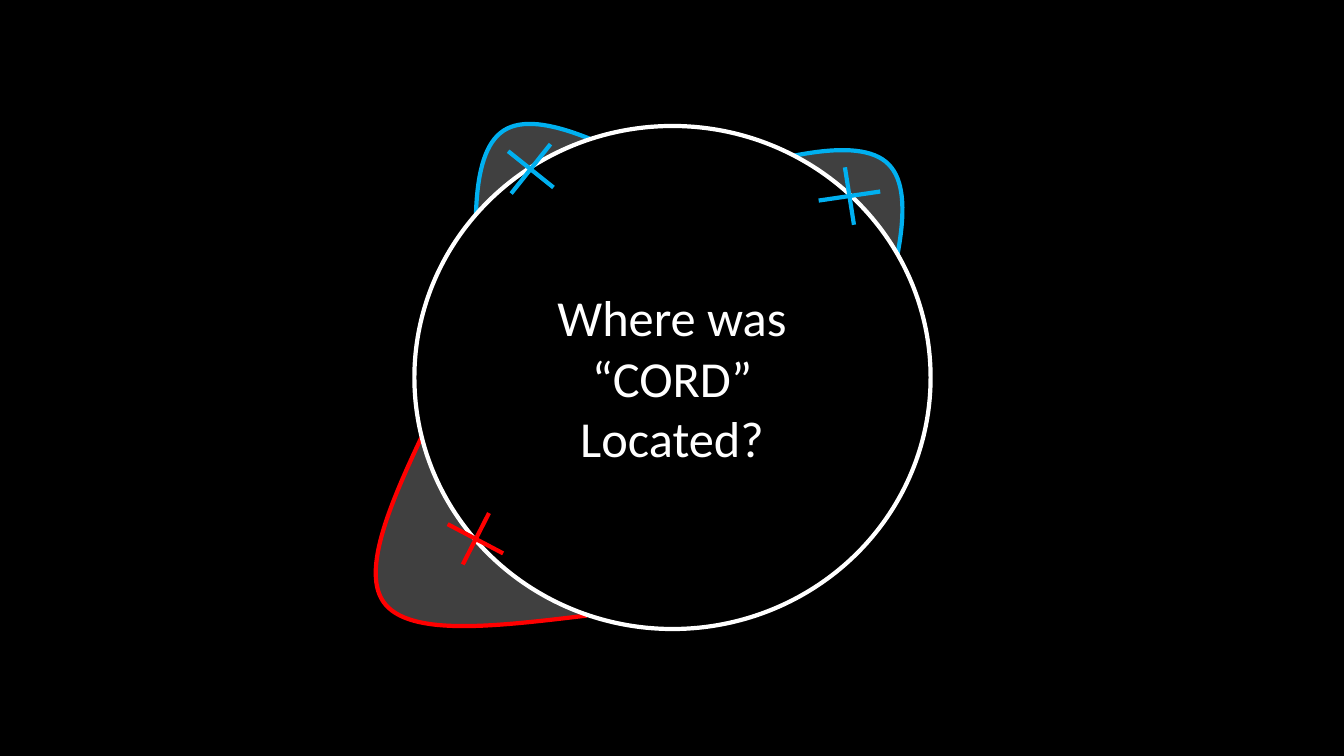
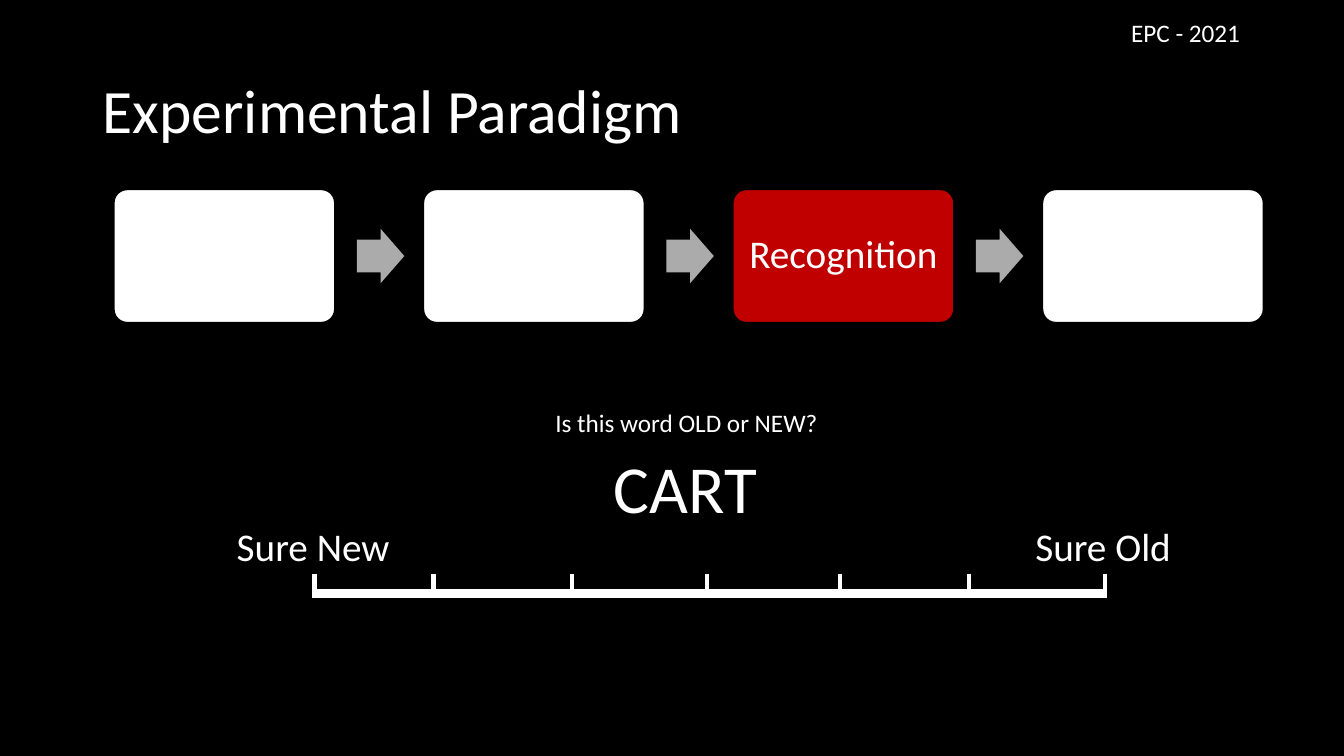
import dataclasses
import typing

import lxml.etree
import pptx
import pptx.dml.color
import pptx.enum.shapes
import pptx.enum.text
import pptx.oxml.ns
import pptx.presentation
import pptx.shapes.autoshape
import pptx.shapes.shapetree
import pptx.slide
import pptx.text.text
import pptx.util

Inches = pptx.util.Inches
Pt = pptx.util.Pt
RGB = pptx.dml.color.RGBColor
Align = pptx.enum.text.PP_ALIGN
Anchor = pptx.enum.text.MSO_ANCHOR
Fit = pptx.enum.text.MSO_AUTO_SIZE
Kind = pptx.enum.shapes.MSO_SHAPE
Slide = pptx.slide.Slide
Shape = pptx.shapes.autoshape.Shape
Tree = pptx.shapes.shapetree.GroupShapes
Point = tuple[float, float]
qn = pptx.oxml.ns.qn


@dataclasses.dataclass(frozen=True)
class Theme:
    black: RGB = RGB(0x00, 0x00, 0x00)
    white: RGB = RGB(0xFF, 0xFF, 0xFF)
    blue: RGB = RGB(0x00, 0xB0, 0xF0)
    red: RGB = RGB(0xFF, 0x00, 0x00)
    dark_red: RGB = RGB(0xC0, 0x00, 0x00)
    gray: RGB = RGB(0x80, 0x80, 0x80)
    silver: RGB = RGB(0xAB, 0xAB, 0xAB)
    font: str = "Calibri"
    word: int = 48
    title: int = 44
    prompt: int = 36
    label: int = 28
    small: int = 18
    thin: int = 1
    line: int = 3
    thick: int = 6


THEME = Theme()


@dataclasses.dataclass(frozen=True)
class Box:
    left: float
    top: float
    width: float
    height: float

    def span(self) -> list[int]:
        return [Inches(v) for v in (self.left, self.top, self.width, self.height)]


@dataclasses.dataclass(frozen=True)
class Label:
    text: str
    box: Box
    size: int
    align: Align = Align.LEFT


@dataclasses.dataclass(frozen=True)
class Lobe:
    color: RGB
    left: float
    top: float
    turn: float
    cross: tuple[tuple[Point, Point], ...]


CURVE = ((0, 1.56), (0.43, 0.78), (0.85, 0), (1.28, 0),
         (1.71, 0), (2.13, 0.78), (2.56, 1.56))
LOBES = (
    Lobe(THEME.blue, 6.98, 1.4, 45.1,
         (((8.73, 1.9), (8.12, 1.99)), ((8.38, 1.66), (8.47, 2.23)))),
    Lobe(THEME.blue, 4.14, 1.17, 327,
         (((5.46, 1.43), (5.07, 1.92)), ((5.04, 1.5), (5.49, 1.86)))),
    Lobe(THEME.red, 3.16, 4.74, 234.4,
         (((4.44, 5.2), (4.99, 5.49)), ((4.59, 5.6), (4.85, 5.09)))),
)
STAGES = ("", "", "Recognition", "")
STEP = 3.07
TICKS = (3.12, 4.3, 5.67, 7.01, 8.33, 9.61, 10.96)
LABELS = (
    Label("CART", Box(5.99, 4.38, 1.64, 0.91), THEME.word),
    Label("Is this word OLD or NEW?", Box(5.41, 3.99, 2.83, 0.4), THEME.small),
    Label("Sure New", Box(2.25, 5.13, 1.73, 0.57), THEME.label),
    Label("Sure Old", Box(10.17, 5.13, 1.56, 0.57), THEME.label),
    Label("EPC - 2021", Box(11.12, 0.12, 1.29, 0.4), THEME.small),
)


def apply(target: object, values: dict[str, typing.Any]) -> None:
    for name, value in values.items():
        setattr(target, name, value)


def write(frame: pptx.text.text.TextFrame, text: str, size: int,
          align: Align, **values: typing.Any) -> None:
    frame.text = text
    apply(frame, values)
    for para in frame.paragraphs:
        para.alignment = align
        for run in para.runs:
            apply(run.font, {"name": THEME.font, "size": Pt(size)})
            run.font.color.rgb = THEME.white


def paint(shape: Shape, fill: RGB, line: RGB | None = None, width: int = 0) -> None:
    shape.shadow.inherit = False
    shape.fill.solid()
    shape.fill.fore_color.rgb = fill
    if line is None:
        shape.line.fill.background()
    else:
        shape.line.color.rgb = line
        shape.line.width = Pt(width)


def add_label(slide: Slide, label: Label) -> None:
    shape = slide.shapes.add_textbox(*label.box.span())
    write(shape.text_frame, label.text, label.size, label.align,
          word_wrap=False, auto_size=Fit.SHAPE_TO_FIT_TEXT)


def add_line(tree: Tree, start: Point, end: Point, color: RGB, width: int) -> None:
    ends = [Inches(v) for v in (*start, *end)]
    line = tree.add_connector(pptx.enum.shapes.MSO_CONNECTOR.STRAIGHT, *ends)
    line.line.color.rgb = color
    line.line.width = Pt(width)
    lxml.etree.SubElement(line._element.spPr, qn("a:effectLst"))


def bend(shape: Shape) -> None:
    legs = list(shape._element.spPr.iter(qn("a:lnTo")))
    for i in range(0, len(legs), 3):
        curve = lxml.etree.Element(qn("a:cubicBezTo"))
        legs[i].addprevious(curve)
        for leg in legs[i:i + 3]:
            curve.append(leg[0])
            leg.getparent().remove(leg)


def add_lobe(slide: Slide, lobe: Lobe) -> None:
    points = [(Inches(x), Inches(y)) for x, y in CURVE]
    pen = slide.shapes.build_freeform(*points[0])
    pen.add_line_segments(points[1:], close=False)
    shape = pen.convert_to_shape(Inches(lobe.left), Inches(lobe.top))
    bend(shape)
    shape.rotation = lobe.turn
    paint(shape, THEME.gray, lobe.color, THEME.line)
    color = shape._element.spPr.find(qn("a:solidFill"))[0]
    lxml.etree.SubElement(color, qn("a:alpha")).set("val", "50000")


def add_stage(tree: Tree, left: float, text: str) -> None:
    shape = tree.add_shape(
        Kind.ROUNDED_RECTANGLE, *Box(left, 1.88, 2.19, 1.32).span())
    shape.adjustments[0] = 0.1
    paint(shape, THEME.dark_red if text else THEME.white, THEME.black, THEME.thin)
    if text:
        write(shape.text_frame, text, THEME.label, Align.CENTER,
              word_wrap=False, vertical_anchor=Anchor.MIDDLE)
        shape.text_frame.paragraphs[0].line_spacing = 0.9


def add_arrow(tree: Tree, left: float) -> None:
    shape = tree.add_shape(Kind.RIGHT_ARROW, *Box(left, 2.27, 0.47, 0.54).span())
    shape.adjustments[0] = 0.6
    shape.adjustments[1] = 0.5
    paint(shape, THEME.silver)


def add_title(slide: Slide, text: str) -> None:
    title = slide.shapes.title
    names = ("left", "top", "width", "height")
    apply(title, dict(zip(names, Box(0.92, 0.4, 11.5, 1.45).span())))
    write(title.text_frame, text, THEME.title, Align.LEFT,
          vertical_anchor=Anchor.MIDDLE, auto_size=Fit.NONE)
    title.text_frame.paragraphs[0].line_spacing = 0.9


def draw_circle(deck: pptx.presentation.Presentation) -> None:
    slide = deck.slides.add_slide(deck.slide_layouts[6])
    for lobe in LOBES:
        add_lobe(slide, lobe)
    ring = slide.shapes.add_shape(Kind.OVAL, *Box(4.11, 1.25, 5.12, 4.99).span())
    paint(ring, THEME.black, THEME.white, THEME.line)
    add_label(slide, Label("Where was\n“CORD”\vLocated?",
                           Box(5.42, 2.79, 2.49, 1.92), THEME.prompt, Align.CENTER))
    for lobe in reversed(LOBES):
        group = slide.shapes.add_group_shape()
        for start, end in lobe.cross:
            add_line(group.shapes, start, end, lobe.color, THEME.line)


def draw_stages(deck: pptx.presentation.Presentation) -> None:
    slide = deck.slides.add_slide(deck.slide_layouts[5])
    add_title(slide, "Experimental Paradigm")
    group = slide.shapes.add_group_shape()
    for i, text in enumerate(STAGES):
        add_stage(group.shapes, 1.13 + i * STEP, text)
        if i < len(STAGES) - 1:
            add_arrow(group.shapes, 3.54 + i * STEP)
    for label in LABELS:
        add_label(slide, label)
    add_line(slide.shapes, (3.1, 5.89), (10.95, 5.89), THEME.white, THEME.thick)
    for x in TICKS:
        add_line(slide.shapes, (x, 5.69), (x, 5.93), THEME.white, THEME.line)


def main() -> None:
    deck = pptx.Presentation()
    apply(deck, {"slide_width": Inches(13.33), "slide_height": Inches(7.5)})
    back = deck.slide_master.background.fill
    back.solid()
    back.fore_color.rgb = THEME.black
    draw_circle(deck)
    draw_stages(deck)
    deck.save("out.pptx")


if __name__ == "__main__":
    main()
